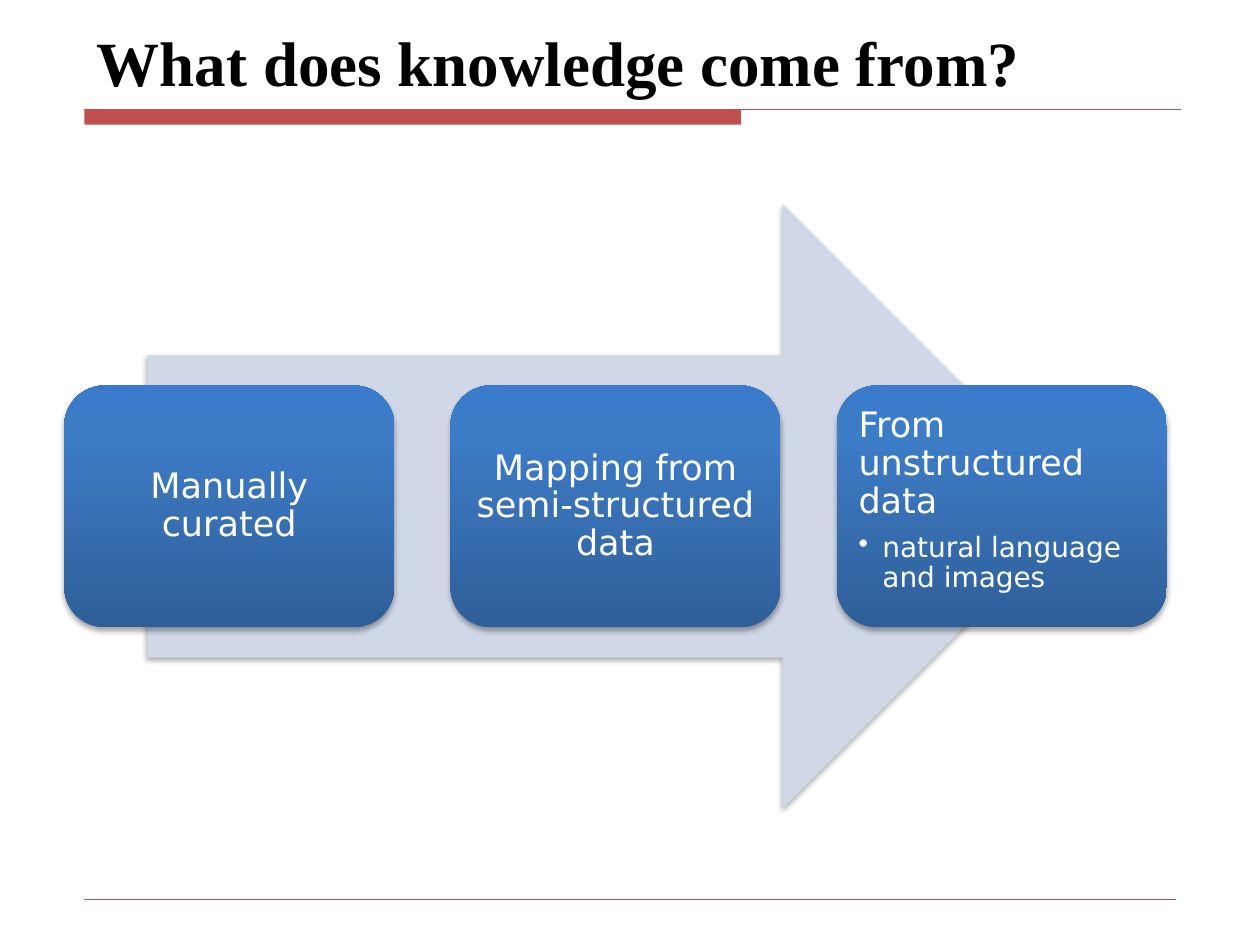
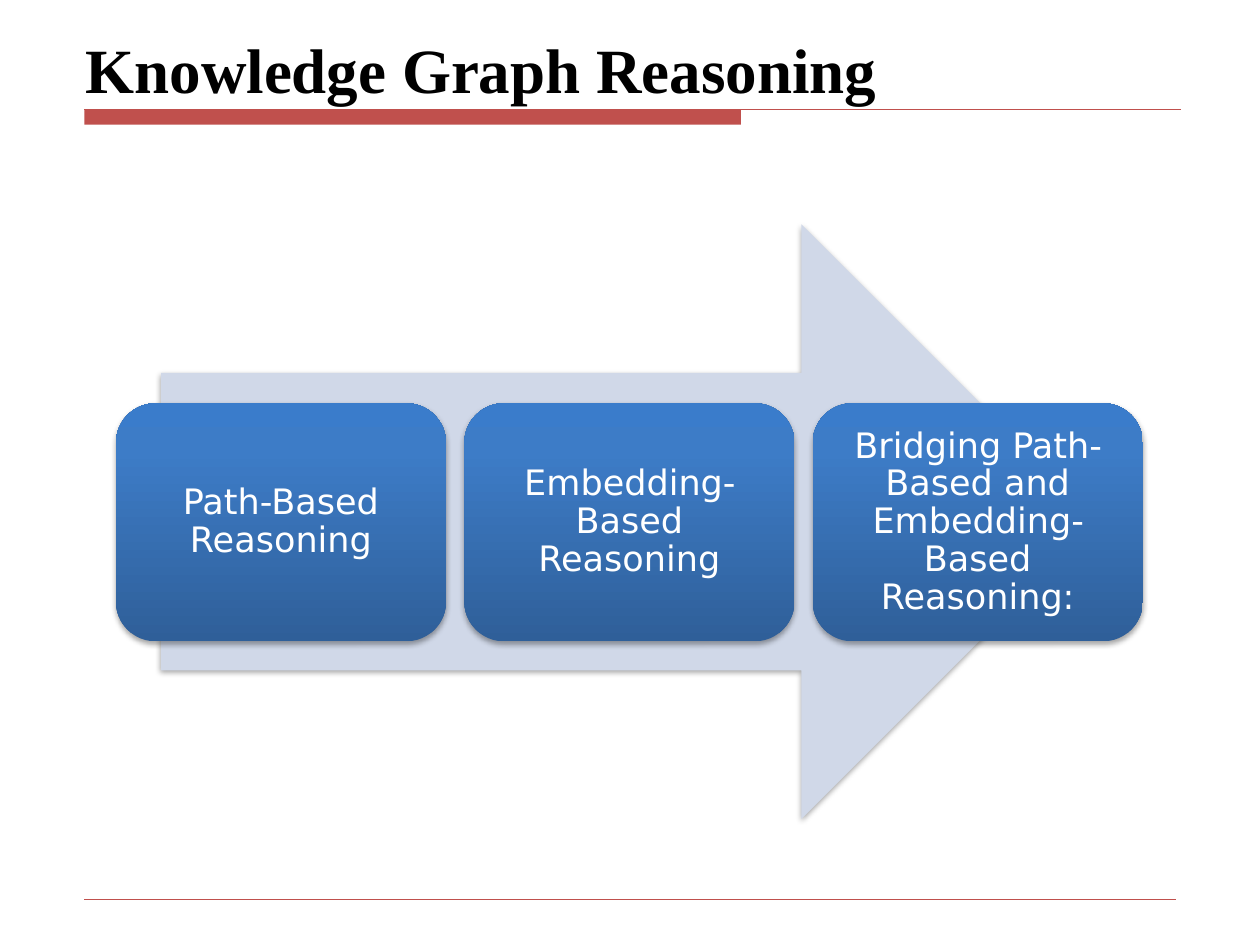
"""Builds two slides that each show three steps on a broad arrow."""
from copy import deepcopy

from lxml import etree
from pptx import Presentation
from pptx.dml.color import RGBColor
from pptx.enum.shapes import MSO_CONNECTOR, MSO_SHAPE
from pptx.enum.text import MSO_ANCHOR, PP_ALIGN
from pptx.oxml.ns import qn
from pptx.util import Inches, Pt

ARROW, ROUND, RECT = MSO_SHAPE.RIGHT_ARROW, MSO_SHAPE.ROUNDED_RECTANGLE, MSO_SHAPE.RECTANGLE
STRAIGHT = MSO_CONNECTOR.STRAIGHT
TOP, MIDDLE, BOTTOM = MSO_ANCHOR.TOP, MSO_ANCHOR.MIDDLE, MSO_ANCHOR.BOTTOM
LEFT, CENTER = PP_ALIGN.LEFT, PP_ALIGN.CENTER

RED, PALE, WHITE, BLACK = "C0504D", "D0D8E8", "FFFFFF", "000000"
STOPS = [(0, "2F5F99"), (0.8, "3D7CC7"), (1, "3A7CCB")]
RULES = [(0.87, 9.37, 0.75), (7.14, 9.33, 0.25)]
BOX_W = 2.62

SLIDES = [
    {
        "title": "What does knowledge come from?",
        "inset": (0.1, 0.05),
        "arrow": (1.17, 1.62, 7.44, 4.8),
        "first": 0.51, "last": 6.64, "top": 3.06, "high": 1.92,
        "steps": [
            ["Manually curated"],
            ["Mapping from semi-structured data"],
            ["From unstructured data", "natural language and images"],
        ],
    },
    {
        "title": "Knowledge Graph Reasoning",
        "inset": (0.01, 0),
        "arrow": (1.28, 1.78, 7.44, 4.72),
        "first": 0.92, "last": 6.45, "top": 3.2, "high": 1.89,
        "steps": [
            ["Path-Based Reasoning"],
            ["Embedding-Based Reasoning"],
            ["Bridging Path-Based and Embedding-Based Reasoning:"],
        ],
    },
]


def color(code):
    """Turn a hex string into a colour."""
    return RGBColor.from_string(code)


def add_form(slide, kind, place, fill=None, shade=True):
    """Add a shape without outline, with a plain fill and a soft shadow if asked."""
    form = slide.shapes.add_shape(kind, *[Inches(n) for n in place])
    form.line.fill.background()
    form.shadow.inherit = False
    if fill:
        form.fill.solid()
        form.fill.fore_color.rgb = color(fill)
    if shade:
        glow = etree.SubElement(
            form.element.spPr.find(qn("a:effectLst")), qn("a:outerShdw"),
            blurRad=str(Pt(3.1)), dist=str(Pt(1.8)), dir="5400000", rotWithShape="0")
        tone = etree.SubElement(glow, qn("a:srgbClr"), val=BLACK)
        etree.SubElement(tone, qn("a:alpha"), val="35000")
    return form


deck = Presentation()
deck.slide_width, deck.slide_height = Inches(10), Inches(7.5)

for page in SLIDES:
    slide = deck.slides.add_slide(deck.slide_layouts[6])

    add_form(slide, RECT, (0.67, 0.87, 5.21, 0.12), RED, shade=False)
    for y, end, width in RULES:
        rule = slide.shapes.add_connector(
            STRAIGHT, Inches(0.67), Inches(y), Inches(end), Inches(y))
        rule.line.color.rgb = color(RED)
        rule.line.width = Pt(width)
        etree.SubElement(rule.element.spPr, qn("a:effectLst"))

    title = slide.shapes.add_textbox(Inches(0.67), Inches(0.21), Inches(8.74), Inches(0.63))
    frame = title.text_frame
    frame.word_wrap = True
    frame.vertical_anchor = BOTTOM
    side, edge = page["inset"]
    frame.margin_left = frame.margin_right = Inches(side)
    frame.margin_top = frame.margin_bottom = Inches(edge)
    frame.text = page["title"]
    font = frame.paragraphs[0].font
    font.name, font.size, font.bold = "Times New Roman", Pt(36), True
    font.color.rgb = color(BLACK)

    add_form(slide, ARROW, page["arrow"], PALE)

    gap = (page["last"] - page["first"]) / 2
    for i, lines in enumerate(page["steps"]):
        box = add_form(slide, ROUND, (page["first"] + i * gap, page["top"], BOX_W, page["high"]))
        box.fill.gradient()
        box.fill.gradient_angle = 90
        ramp = box.element.spPr.find(qn("a:gradFill")).find(qn("a:gsLst"))
        ramp.insert(1, deepcopy(ramp[0]))
        for stop, (spot, code) in zip(box.fill.gradient_stops, STOPS):
            stop.position = spot
            stop.color.rgb = color(code)

        frame = box.text_frame
        frame.word_wrap = True
        frame.margin_left = frame.margin_right = Inches(0.08)
        frame.margin_top = frame.margin_bottom = Inches(0.08)
        listed = len(lines) > 1
        frame.vertical_anchor = TOP if listed else MIDDLE
        frame.text = "\n".join(lines)
        for n, para in enumerate(frame.paragraphs):
            para.alignment = LEFT if listed else CENTER
            para.line_spacing = 0.9
            para.space_after = Pt(2.4 if n else 7)
            if n:
                para.level = 1
                props = para._p.get_or_add_pPr()
                props.set("marL", str(Inches(0.19)))
                props.set("indent", str(Inches(-0.19)))
                etree.SubElement(props, qn("a:buChar"), char="•")
            para.font.name = "DejaVu Sans"
            para.font.size = Pt(16 if n else 20)
            para.font.color.rgb = color(WHITE)

deck.save("out.pptx")
